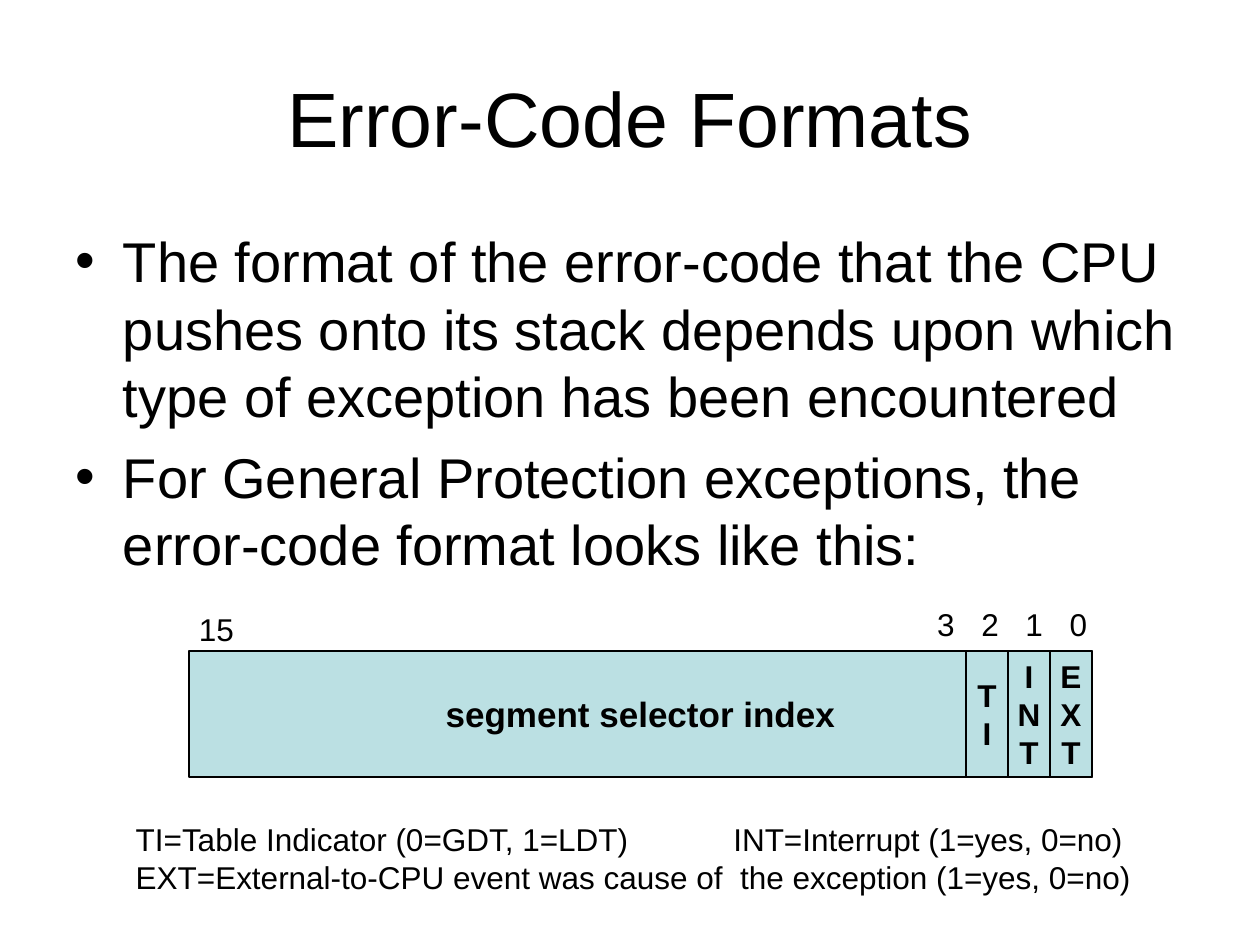
from pptx import Presentation
from pptx.dml.color import RGBColor
from pptx.enum.shapes import MSO_SHAPE
from pptx.enum.text import MSO_ANCHOR, MSO_AUTO_SIZE, PP_ALIGN
from pptx.oxml.ns import qn
from pptx.util import Pt
from lxml import etree

RECTANGLE = MSO_SHAPE.RECTANGLE
TOP, MIDDLE = MSO_ANCHOR.TOP, MSO_ANCHOR.MIDDLE
NO_AUTOFIT = MSO_AUTO_SIZE.NONE
LEFT, CENTER = PP_ALIGN.LEFT, PP_ALIGN.CENTER
FONT = "Arial"
BLACK, FIELD_FILL = "000000", "BBE0E3"
LINE_FACTOR = 1.2
BIT_WIDTH = 24


def color(value):
    """Return the colour for a hex string."""
    return RGBColor.from_string(value)


def place(shape, box):
    """Move and size a shape to a box in points."""
    shape.left, shape.top, shape.width, shape.height = (Pt(value) for value in box)


def add_tabs(paragraph, positions):
    """Add left tab stops, in points, to a paragraph."""
    tab_list = etree.SubElement(paragraph._p.get_or_add_pPr(), qn("a:tabLst"))
    for position in positions:
        etree.SubElement(tab_list, qn("a:tab"), pos=str(Pt(position)), algn="l")


def write(shape, lines, size, align=LEFT, anchor=TOP, bold=False, wrap=True, gap=0, tabs=()):
    """Fill a shape with one paragraph per line of text."""
    frame = shape.text_frame
    frame.word_wrap = wrap
    frame.auto_size = NO_AUTOFIT
    frame.vertical_anchor = anchor
    for index, line in enumerate(lines):
        paragraph = frame.add_paragraph() if index else frame.paragraphs[0]
        if tabs:
            add_tabs(paragraph, tabs)
        paragraph.alignment = align
        paragraph.line_spacing = Pt(size * LINE_FACTOR)
        paragraph.space_before = Pt(gap if index else 0)
        run = paragraph.add_run()
        run.text = line
        run.font.name = FONT
        run.font.size = Pt(size)
        run.font.bold = bold
        run.font.color.rgb = color(BLACK)


def add_label(slide, box, lines, tabs=()):
    """Add a plain text label."""
    label = slide.shapes.add_textbox(*(Pt(value) for value in box))
    write(label, lines, 18, tabs=tabs)


def add_field(slide, box, lines, size):
    """Add one outlined field of the error code."""
    field = slide.shapes.add_shape(RECTANGLE, *(Pt(value) for value in box))
    field.shadow.inherit = False
    field.fill.solid()
    field.fill.fore_color.rgb = color(FIELD_FILL)
    field.line.color.rgb = color(BLACK)
    field.line.width = Pt(0.75)
    write(field, lines, size, CENTER, MIDDLE, bold=True, wrap=False)


def add_title(slide, box):
    """Place the slide title."""
    title = slide.shapes.title
    place(title, box)
    write(title, ["Error-Code Formats"], 44, CENTER, MIDDLE)


def add_body(slide, box):
    """Place the bulleted list."""
    body = slide.placeholders[1]
    place(body, box)
    write(body, [
        "The format of the error-code that the CPU pushes onto its stack depends "
        "upon which type of exception has been encountered",
        "For General Protection exceptions, the error-code format looks like this:",
    ], 32, gap=8)


def add_error_code(slide, box):
    """Draw the error-code layout with its bit numbers."""
    left, top, width, height = box
    right = left + width
    add_field(slide, box, ["segment selector index"], 20)
    for bit, name in enumerate(("EXT", "INT", "TI")):
        bit_left = right - (bit + 1) * BIT_WIDTH
        add_field(slide, (bit_left, top, BIT_WIDTH, height), list(name), 18)
    add_label(slide, (left - 1.5, top - 27, 35, 29), ["15"])
    bit_tabs = [25.2 * step for step in (1, 2, 3)]
    add_label(slide, (right - 95.5, top - 30, 100, 29), ["3\t2\t1\t0"], bit_tabs)


def add_legend(slide, box):
    """Explain the abbreviations of the fields."""
    add_label(slide, box, [
        "TI=Table Indicator (0=GDT, 1=LDT)\tINT=Interrupt (1=yes, 0=no)",
        "EXT=External-to-CPU event was cause of  the exception (1=yes, 0=no)",
    ], [341.5])


def main():
    """Build and save the presentation."""
    presentation = Presentation()
    presentation.slide_width, presentation.slide_height = Pt(720), Pt(540)
    slide = presentation.slides.add_slide(presentation.slide_layouts[1])
    add_title(slide, (36, 21.6, 648, 90))
    add_body(slide, (36, 126, 648, 356.4))
    add_error_code(slide, (108, 372, 516, 72))
    add_legend(slide, (70.5, 465, 595, 50.5))
    presentation.save("out.pptx")


if __name__ == "__main__":
    main()
